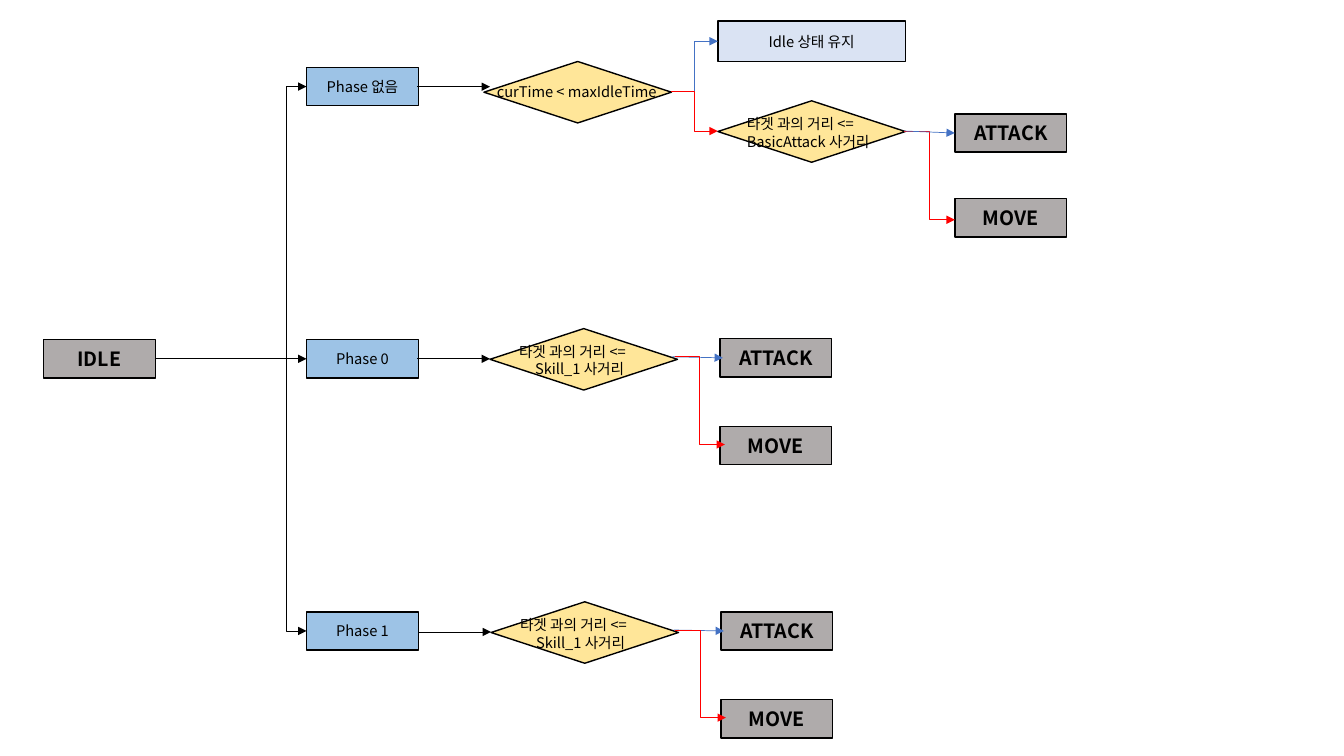
from lxml import etree
from pptx import Presentation
from pptx.dml.color import RGBColor
from pptx.enum.shapes import MSO_CONNECTOR, MSO_SHAPE
from pptx.enum.text import MSO_ANCHOR, MSO_AUTO_SIZE, PP_ALIGN
from pptx.oxml.ns import qn
from pptx.util import Inches, Pt

RECTANGLE = MSO_SHAPE.RECTANGLE
DIAMOND = MSO_SHAPE.DIAMOND
STRAIGHT = MSO_CONNECTOR.STRAIGHT
ELBOW = MSO_CONNECTOR.ELBOW
MIDDLE = MSO_ANCHOR.MIDDLE
CENTER = PP_ALIGN.CENTER
FIT_TEXT = MSO_AUTO_SIZE.SHAPE_TO_FIT_TEXT

FONT = "Noto Sans CJK KR"
BLACK, GRAY, BLUE = "000000", "AFABAB", "9DC3E6"
YELLOW, PALE_BLUE = "FFE699", "DAE3F3"
YES, NO = "4472C4", "FF0000"
BOX_WIDTH, BOX_HEIGHT = 1.11, 0.38
WIDE, DIAMOND_HEIGHT = 1.86, 0.61
DISTANCE = "타겟 과의 거리 <= "


def color(value):
    return RGBColor.from_string(value)


def format_text(frame, size, bold=False):
    for para in frame.paragraphs:
        for span in para.runs:
            span.font.name = FONT
            span.font.size = Pt(size)
            span.font.bold = bold
            span.font.color.rgb = color(BLACK)
            east_asian = etree.SubElement(span.font._element, qn("a:ea"))
            east_asian.set("typeface", FONT)


def add_box(page, kind, left, top, width, height, fill):
    box = page.shapes.add_shape(
        kind, Inches(left), Inches(top), Inches(width), Inches(height))
    box.shadow.inherit = False
    box.fill.solid()
    box.fill.fore_color.rgb = color(fill)
    box.line.color.rgb = color(BLACK)
    box.line.width = Pt(1)
    return box


def add_label(page, text, left, top, fill, size=10.5, bold=False,
              width=BOX_WIDTH, height=BOX_HEIGHT):
    box = add_box(page, RECTANGLE, left, top, width, height, fill)
    frame = box.text_frame
    frame.text = text
    frame.vertical_anchor = MIDDLE
    frame.paragraphs[0].alignment = CENTER
    format_text(frame, size, bold)


def add_state(page, text, left, top):
    add_label(page, text, left, top, GRAY, 14, True)


def add_decision(page, text, left, top, text_offset, text_size, indent=0):
    add_box(page, DIAMOND, left, top, WIDE, DIAMOND_HEIGHT, YELLOW)
    box = page.shapes.add_textbox(
        Inches(left + text_offset[0]), Inches(top + text_offset[1]),
        Inches(text_size[0]), Inches(text_size[1]))
    frame = box.text_frame
    frame.text = text
    frame.word_wrap = False
    frame.auto_size = FIT_TEXT
    if indent:
        properties = frame.paragraphs[-1]._p.get_or_add_pPr()
        properties.set("marL", str(Inches(indent)))
    format_text(frame, 10.5)


def add_distance_check(page, reach, left, top, indent=0):
    add_decision(page, DISTANCE + "\n" + reach, left, top,
                 (0.19, 0.09), (1.5, 0.45), indent)


def add_arrow(page, kind, start, end, line_color=BLACK):
    arrow = page.shapes.add_connector(
        kind, *(Inches(value) for value in (*start, *end)))
    arrow.line.color.rgb = color(line_color)
    arrow.line.width = Pt(0.5)
    head = etree.SubElement(arrow.line._get_or_add_ln(), qn("a:tailEnd"))
    head.set("type", "triangle")
    etree.SubElement(arrow._element.spPr, qn("a:effectLst"))


def add_skill_row(page, left, top):
    add_distance_check(page, "Skill_1 사거리", left, top, 0.16)
    add_state(page, "ATTACK", left + 2.28, top + 0.1)
    add_state(page, "MOVE", left + 2.28, top + 0.97)
    add_arrow(page, STRAIGHT, (left - 0.72, top + 0.3), (left, top + 0.3))
    add_arrow(page, STRAIGHT, (left + 1.81, top + 0.28),
              (left + 2.31, top + 0.29), YES)
    add_arrow(page, ELBOW, (left + 1.83, top + 0.28),
              (left + 2.33, top + 1.15), NO)


def add_no_phase_row(page):
    add_decision(page, "curTime < maxIdleTime", 4.8, 0.61,
                 (0.03, 0.16), (WIDE, 0.47))
    add_label(page, "Idle 상태 유지", 7.12, 0.21, PALE_BLUE,
              width=WIDE, height=0.4)
    add_distance_check(page, "BasicAttack 사거리", 7.12, 1)
    add_state(page, "ATTACK", 9.47, 1.13)
    add_state(page, "MOVE", 9.47, 1.97)
    add_arrow(page, STRAIGHT, (4.14, 0.86), (4.86, 0.86))
    add_arrow(page, ELBOW, (6.66, 0.91), (7.12, 0.41), YES)
    add_arrow(page, ELBOW, (6.66, 0.91), (7.12, 1.3), NO)
    add_arrow(page, ELBOW, (8.97, 1.3), (9.47, 2.18), NO)
    add_arrow(page, STRAIGHT, (8.97, 1.3), (9.47, 1.32), YES)


def add_phases(page):
    add_state(page, "IDLE", 0.43, 3.37)
    for index, phase in enumerate(("Phase 없음", "Phase 0", "Phase 1")):
        add_label(page, phase, 3.04, 0.67 + 2.7 * index, BLUE)
    add_arrow(page, STRAIGHT, (1.54, 3.56), (3.04, 3.56))
    for middle in (0.86, 6.26):
        add_arrow(page, ELBOW, (2.64, 3.56), (3.04, middle))


def main():
    deck = Presentation()
    deck.slide_width = Inches(13.33)
    deck.slide_height = Inches(7.5)
    page = deck.slides.add_slide(deck.slide_layouts[6])
    add_phases(page)
    add_no_phase_row(page)
    add_skill_row(page, 4.86, 3.26)
    add_skill_row(page, 4.87, 5.97)
    deck.save("out.pptx")


main()
